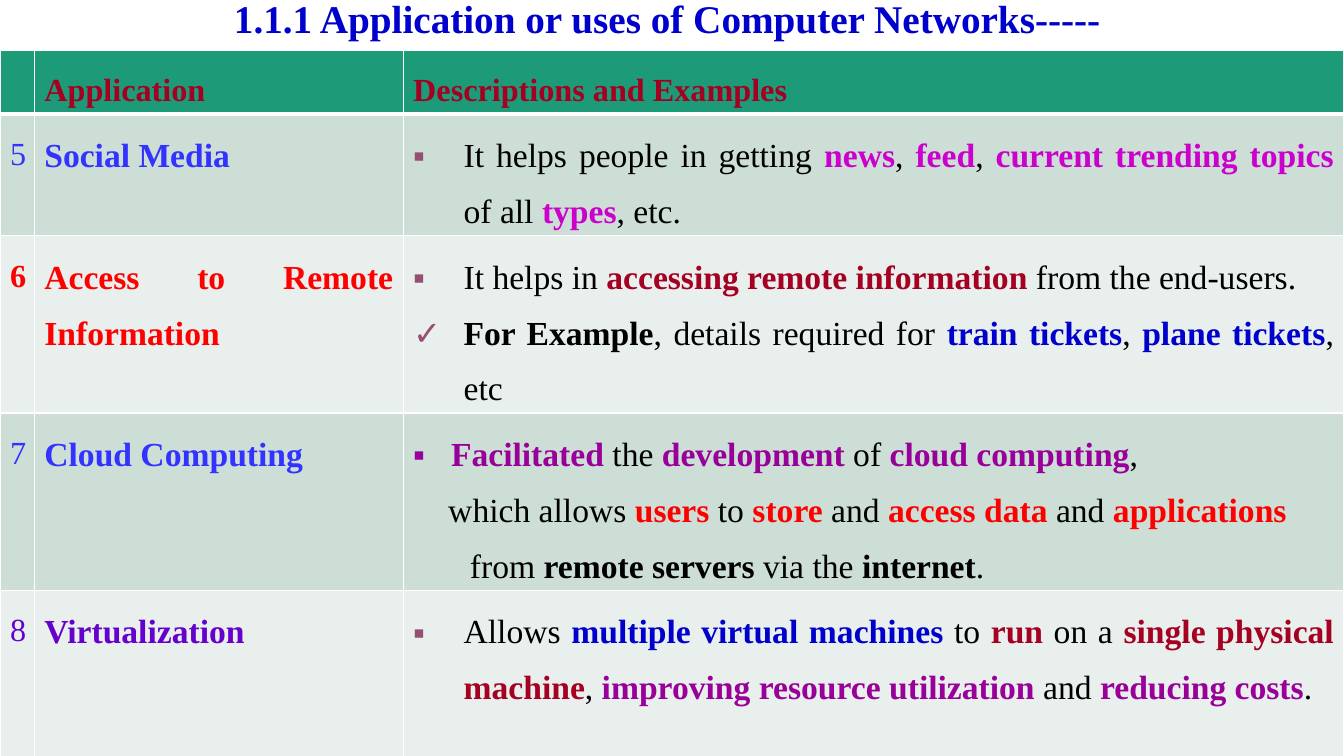
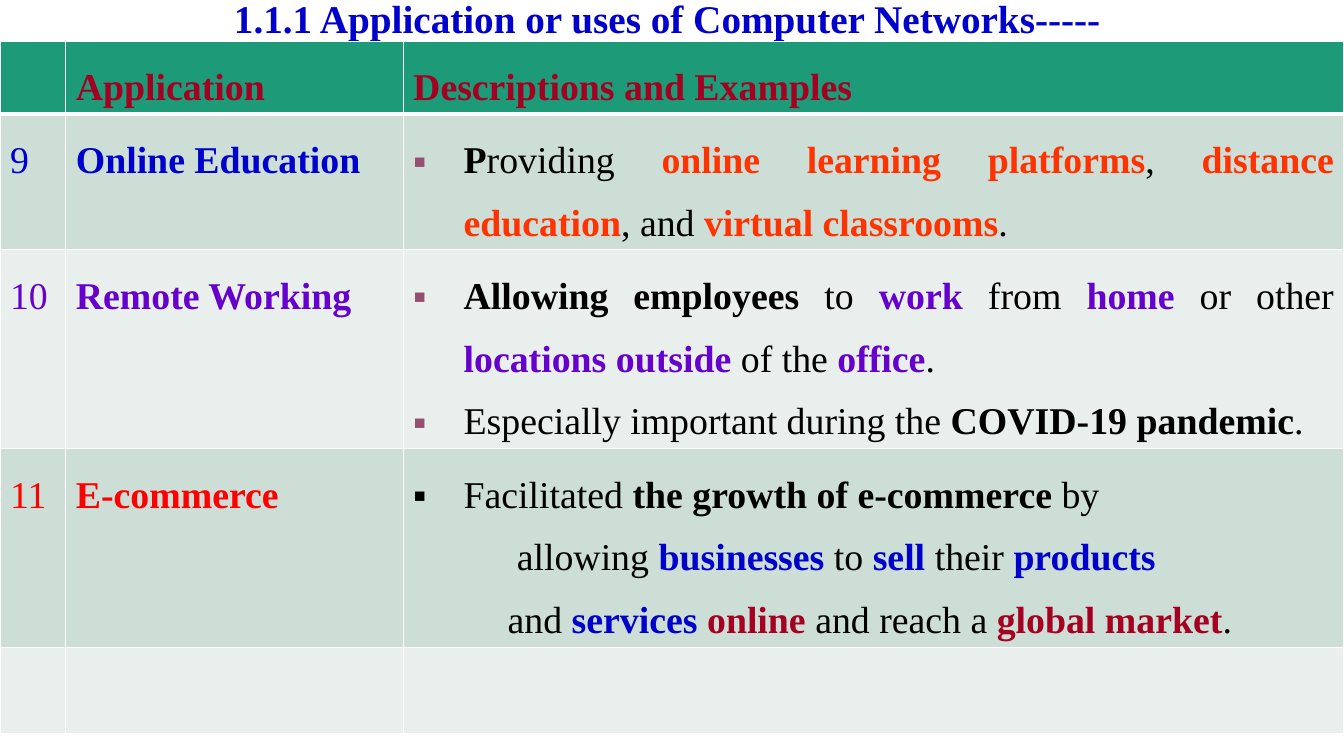
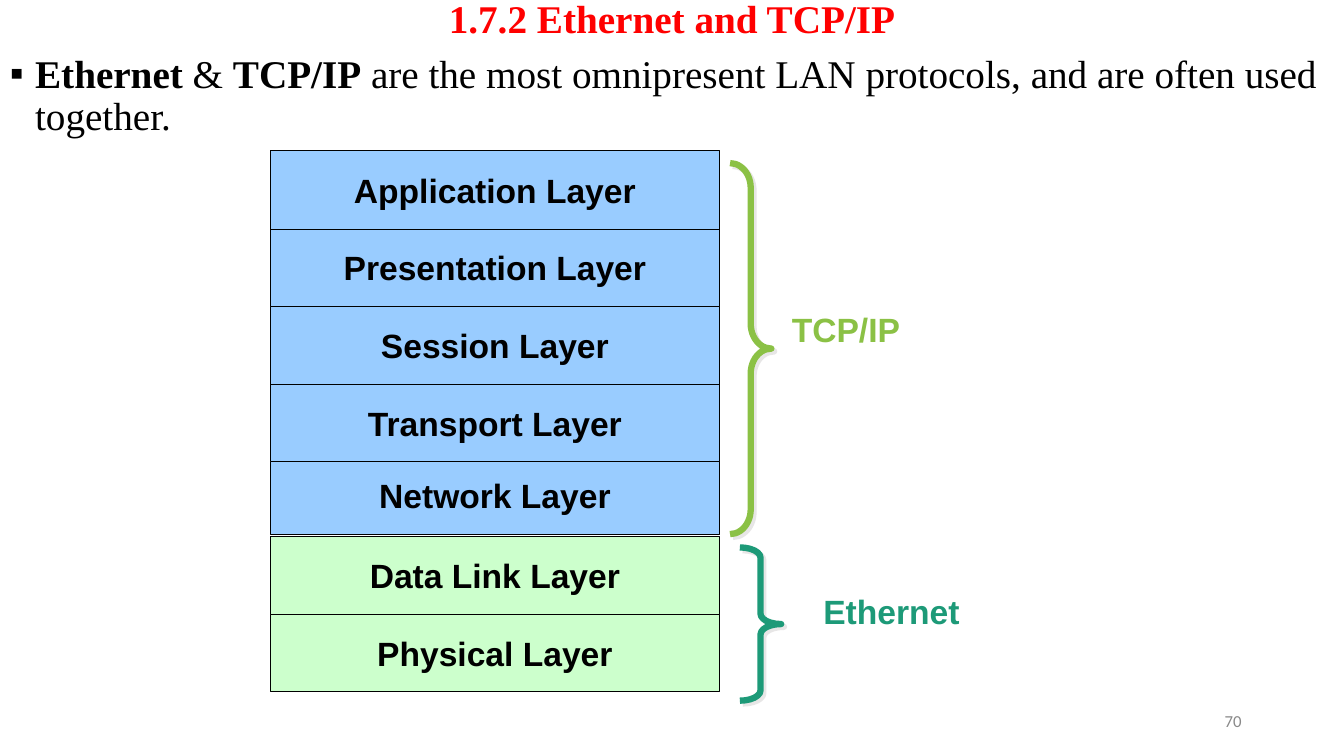
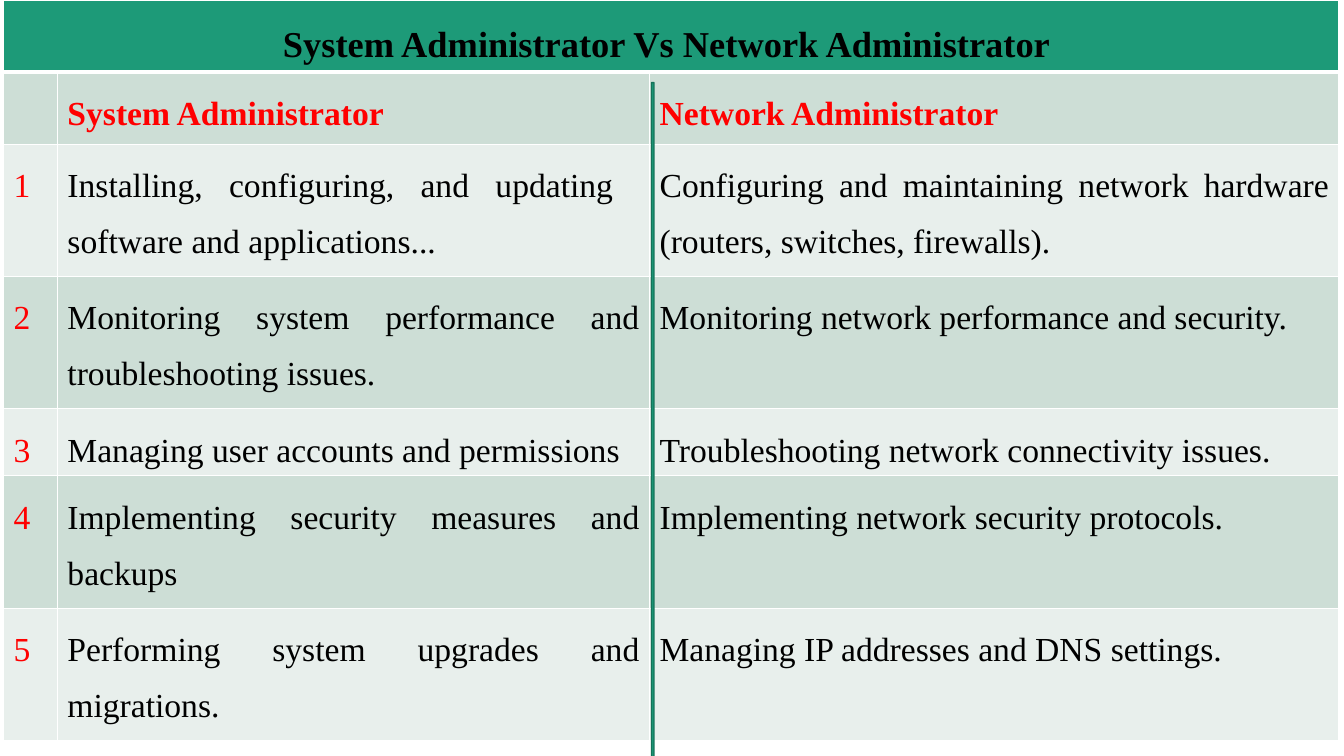
from dataclasses import dataclass

from lxml.etree import SubElement
from pptx import Presentation
from pptx.dml.color import RGBColor
from pptx.enum.shapes import MSO_SHAPE
from pptx.enum.text import MSO_ANCHOR, PP_ALIGN
from pptx.oxml.ns import qn
from pptx.util import Pt

# Colours
BLACK = RGBColor(0x00, 0x00, 0x00)
WHITE = RGBColor(0xFF, 0xFF, 0xFF)
NAVY = RGBColor(0x00, 0x00, 0xCC)
BLUE = RGBColor(0x33, 0x33, 0xFF)
RED = RGBColor(0xFF, 0x00, 0x00)
MAROON = RGBColor(0xA5, 0x00, 0x21)
MAGENTA = RGBColor(0xCC, 0x00, 0xCC)
PURPLE = RGBColor(0x99, 0x00, 0x99)
VIOLET = RGBColor(0x66, 0x00, 0xCC)
ORANGE = RGBColor(0xFF, 0x33, 0x00)
PLUM = RGBColor(0x95, 0x4F, 0x72)
GREY = RGBColor(0x89, 0x89, 0x89)
SHADOW = RGBColor(0xE7, 0xE6, 0xE6)
TEAL = RGBColor(0x1D, 0x9A, 0x78)
DARK_TEAL = RGBColor(0x15, 0x72, 0x59)
LIME = RGBColor(0x8B, 0xC1, 0x45)
SKY = RGBColor(0x99, 0xCC, 0xFF)
MINT = RGBColor(0xCC, 0xFF, 0xCC)
BANDS = (RGBColor(0xE8, 0xEF, 0xEC), RGBColor(0xCD, 0xDE, 0xD6))

SERIF = "Times New Roman"
SANS = "Arial"
CELL_LEADING = 1.66  # line pitch in a table, as a multiple of the text size


@dataclass
class Para:
    """Runs are plain strings, (text, colour) in bold, or (text, colour, bold)."""
    runs: tuple
    left: float = 0
    bullet: str = ""
    bullet_color: RGBColor = None
    align: PP_ALIGN = PP_ALIGN.JUSTIFY


def para(*runs, **options):
    return Para(runs, **options)


def square(*runs):
    return Para(runs, left=36, bullet="▪", bullet_color=PLUM)


def check(*runs):
    return Para(runs, left=36, bullet="✓", bullet_color=PLUM)


# Text
def add_bullet(p, item):
    pPr = p._p.get_or_add_pPr()
    pPr.set("marL", str(Pt(item.left)))
    pPr.set("indent", str(-Pt(item.left) if item.bullet else 0))
    if item.bullet_color is not None:
        color = SubElement(pPr, qn("a:buClr"))
        SubElement(color, qn("a:srgbClr"), val=str(item.bullet_color))
    if item.bullet:
        SubElement(pPr, qn("a:buFont"), typeface=SANS)
        SubElement(pPr, qn("a:buChar"), char=item.bullet)


def write(tf, items, size, font=SERIF, spacing=1.0):
    for i, item in enumerate(items):
        p = tf.add_paragraph() if i else tf.paragraphs[0]
        p.alignment = item.align
        p.line_spacing = spacing
        add_bullet(p, item)
        for run in item.runs:
            if isinstance(run, str):
                run = (run, BLACK, False)
            text, color, *bold = run
            r = p.add_run()
            r.text = text
            r.font.size = Pt(size)
            r.font.name = font
            r.font.color.rgb = color
            r.font.bold = bold[0] if bold else True


def write_cell(cell, items, size):
    write(cell.text_frame, items, size, spacing=Pt(round(size * CELL_LEADING, 1)))


def add_text(s, box, item, size, font=SERIF, spacing=1.0, anchor=MSO_ANCHOR.TOP):
    tf = s.shapes.add_textbox(*map(Pt, box)).text_frame
    tf.word_wrap = True
    tf.vertical_anchor = anchor
    write(tf, [item], size, font, spacing)


def add_title(s, text, color):
    add_text(s, (66, 0, 828, 29), para((text, color), align=PP_ALIGN.CENTER),
             28, spacing=0.9, anchor=MSO_ANCHOR.MIDDLE)


# Tables
def set_borders(cell, row):
    tcPr = cell._tc.get_or_add_tcPr()
    widths = {"L": 1, "R": 1, "T": 3 if row == 1 else 1, "B": 1 if row else 3}
    for side, width in widths.items():
        ln = SubElement(tcPr, qn("a:ln" + side), w=str(Pt(width)))
        fill = SubElement(ln, qn("a:solidFill"))
        SubElement(fill, qn("a:srgbClr"), val=str(WHITE))


def add_table(s, left, top, widths, heights, rows, size, number_size=None):
    """Each row holds one list of paragraphs per cell."""
    table = s.shapes.add_table(len(heights), len(widths), Pt(left), Pt(top),
                               Pt(sum(widths)), Pt(sum(heights))).table
    table.first_row = table.horz_banding = False
    for column, width in zip(table.columns, widths):
        column.width = Pt(width)
    for row, height in zip(table.rows, heights):
        row.height = Pt(height)
    for i, row in enumerate(rows):
        for j, items in enumerate(row):
            cell = table.cell(i, j)
            set_borders(cell, i)
            cell.fill.solid()
            cell.fill.fore_color.rgb = BANDS[i % 2] if i else TEAL
            small = number_size and (i == 0 or j == 0)
            write_cell(cell, items, number_size if small else size)
    return table


def application_row(number, name, color, *description, bold_number=False):
    return [[para((number, color, bold_number))], [para((name, color))], description]


APPLICATION_HEAD = [[], [para(("Application", MAROON))],
                    [para(("Descriptions and Examples", MAROON))]]


# Shapes
def add_shape(s, kind, box, fill=None, line=BLACK, width=0.75):
    sp = s.shapes.add_shape(kind, *map(Pt, box))
    sp.shadow.inherit = False
    if fill is None:
        sp.fill.background()
    else:
        sp.fill.solid()
        sp.fill.fore_color.rgb = fill
    sp.line.color.rgb = line
    sp.line.width = Pt(width)
    return sp


def add_layer(s, top, name, fill):
    sp = add_shape(s, MSO_SHAPE.RECTANGLE, (193, top, 321, 56), fill)
    tf = sp.text_frame
    tf.vertical_anchor = MSO_ANCHOR.MIDDLE
    write(tf, [para((name, BLACK), align=PP_ALIGN.CENTER)], 24, SANS)


def add_brace(s, box, curve, color):
    sp = add_shape(s, MSO_SHAPE.RIGHT_BRACE, box, line=color, width=4.5)
    sp.adjustments[0] = curve
    effects = sp._element.spPr.find(qn("a:effectLst"))
    shadow = SubElement(effects, qn("a:outerShdw"), dist=str(Pt(2.8)),
                        dir="2700000", algn="ctr", rotWithShape="0")
    SubElement(shadow, qn("a:srgbClr"), val=str(SHADOW))


# Slides
def applications_five_to_eight(s):
    add_title(s, "1.1.1 Application or uses of Computer Networks----- ", NAVY)
    rows = [
        APPLICATION_HEAD,
        application_row(
            "5", "Social Media", BLUE,
            square("It helps people in getting ", ("news", MAGENTA), ", ",
                   ("feed", MAGENTA), ", ", ("current trending topics", MAGENTA),
                   " of all ", ("types", MAGENTA), ", etc.")),
        application_row(
            "6", "Access to Remote Information", RED,
            square("It helps in ", ("accessing remote information", MAROON),
                   " from the end-users."),
            check(("For Example", BLACK), ", details required for ",
                  ("train tickets", NAVY), ", ", ("plane tickets", NAVY), ", etc"),
            bold_number=True),
        application_row(
            "7", "Cloud Computing", BLUE,
            para(("Facilitated", PURPLE), " the ", ("development", PURPLE), " of ",
                 ("cloud computing", PURPLE), ",", left=27, bullet="▪"),
            para("which allows ", ("users", RED), " to ", ("store", RED), " and ",
                 ("access data", RED), " and ", ("applications", RED), left=25),
            para("from ", ("remote servers", BLACK), " via the ",
                 ("internet", BLACK), ".", left=40.5)),
        application_row(
            "8", "Virtualization", VIOLET,
            square("Allows ", ("multiple virtual machines", NAVY), " to ",
                   ("run", MAROON), " on a ", ("single physical machine", MAROON), ", ",
                   ("improving resource utilization", PURPLE), " and ",
                   ("reducing costs", PURPLE), ".")),
    ]
    add_table(s, 0, 36, (24.5, 263.5, 672), (45, 87, 126.5, 126.5, 140), rows, 24,
              number_size=23)


def applications_nine_to_eleven(s):
    add_title(s, "1.1.1 Application or uses of Computer Networks----- ", NAVY)
    rows = [
        APPLICATION_HEAD,
        application_row(
            "9", "Online Education", NAVY,
            square(("P", BLACK), "roviding ", ("online learning platforms", ORANGE), ", ",
                   ("distance education", ORANGE), ", and ",
                   ("virtual classrooms", ORANGE), ".")),
        application_row(
            "10", "Remote Working", VIOLET,
            square(("Allowing employees", BLACK), " to ", ("work", VIOLET), " from ",
                   ("home", VIOLET), " or other ", ("locations outside", VIOLET),
                   " of the ", ("office", VIOLET), "."),
            square("Especially important during the ", ("COVID-19 pandemic", BLACK), ".")),
        application_row(
            "11", "E-commerce", RED,
            para("Facilitated ", ("the growth of e-commerce ", BLACK), "by",
                 left=36, bullet="▪"),
            para("allowing ", ("businesses", NAVY), " to ", ("sell", NAVY), " their ",
                 ("products", NAVY), left=74),
            para("and ", ("services ", NAVY), ("online", MAROON), " and reach a ",
                 ("global market", MAROON), ".", left=67.5)),
        [[], [], []],
    ]
    add_table(s, 0, 29.5, (47, 241, 672), (52, 97, 142, 142, 61.5), rows, 27)


def ethernet_and_tcp_ip(s):
    add_title(s, "1.7.2 Ethernet and TCP/IP", RED)
    add_text(s, (0, 35.5, 960, 145),
             para(("Ethernet", BLACK), " & ", ("TCP/IP", BLACK),
                  " are the most omnipresent LAN protocols, and are often used together.",
                  left=18, bullet="▪", align=PP_ALIGN.LEFT), 28, spacing=0.9)
    add_text(s, (678, 500.5, 216, 29), para(("70", GREY, False), align=PP_ALIGN.RIGHT),
             12, "Calibri", anchor=MSO_ANCHOR.MIDDLE)

    # Layers, from the bottom of the stack up
    layers = [
        (438.3, "Physical", MINT), (383, "Data Link", MINT), (325.7, "Network", SKY),
        (274, "Transport", SKY), (218.5, "Session", SKY), (163, "Presentation", SKY),
        (107.7, "Application", SKY),
    ]
    for top, name, fill in layers:
        add_layer(s, top, f"{name} Layer", fill)

    # Protocol groups
    add_brace(s, (521.5, 116.5, 29.5, 265), 0.6, LIME)
    add_brace(s, (528.5, 391, 29.5, 109.5), 0.25, TEAL)
    for box, name, color in (((558.5, 217, 156, 55), "TCP/IP", LIME),
                             ((581, 418.5, 178.5, 55), "Ethernet", TEAL)):
        add_text(s, box, para((name, color), align=PP_ALIGN.LEFT), 24, SANS)


def administrators(s):
    duties = [
        ("Installing, configuring, and updating software and applications...",
         "Configuring and maintaining network hardware (routers, switches, firewalls)."),
        ("Monitoring system performance and troubleshooting issues.",
         "Monitoring network performance and security."),
        ("Managing user accounts and permissions",
         "Troubleshooting network connectivity issues."),
        ("Implementing security measures and backups",
         "Implementing network security protocols."),
        ("Performing system upgrades and migrations.",
         "Managing IP addresses and DNS settings."),
    ]
    rows = [
        [[], [], []],
        [[], [para(("System Administrator", RED))], [para(("Network Administrator", RED))]],
    ]
    for number, (system, network) in enumerate(duties, 1):
        rows.append([[para((str(number), RED, False))], [para(system)], [para(network)]])
    table = add_table(s, 2.5, 0, (38.5, 423, 492.5),
                      (51.5, 51.5, 94.5, 94.5, 48, 94.5, 94.5), rows, 24)
    table.cell(2, 1).margin_right = Pt(26)

    # Heading across all columns
    heading = table.cell(0, 0)
    heading.merge(table.cell(0, 2))
    write_cell(heading, [para(("System Administrator Vs Network Administrator ", BLACK),
                              align=PP_ALIGN.CENTER)], 26)

    add_shape(s, MSO_SHAPE.DOWN_ARROW, (464.5, 59, 3.5, 492), TEAL, DARK_TEAL, 1)


def main():
    prs = Presentation()
    prs.slide_width, prs.slide_height = Pt(960), Pt(540)
    for build in (applications_five_to_eight, applications_nine_to_eleven,
                  ethernet_and_tcp_ip, administrators):
        build(prs.slides.add_slide(prs.slide_layouts[6]))
    prs.save("out.pptx")


if __name__ == "__main__":
    main()
